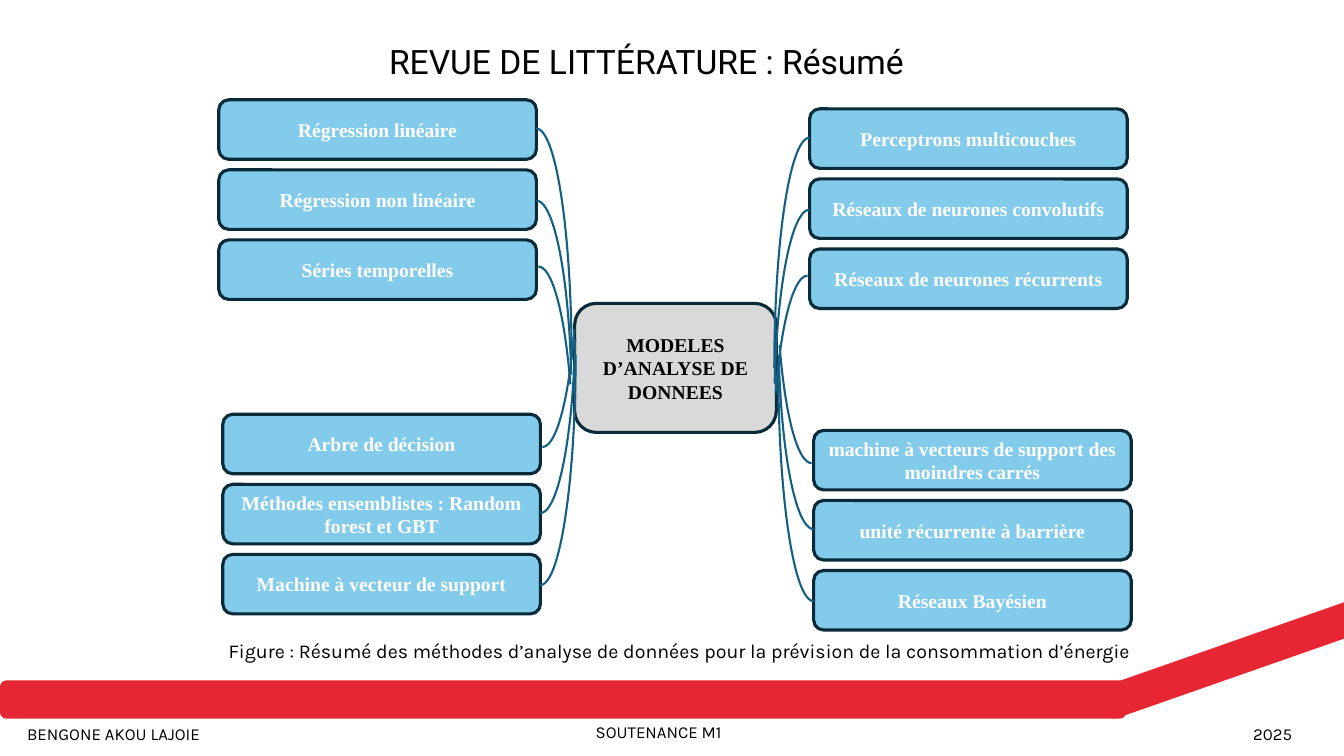
from pptx import Presentation
from pptx.dml.color import RGBColor
from pptx.enum.shapes import MSO_SHAPE as Shape
from pptx.enum.text import MSO_ANCHOR as Anchor, PP_ALIGN as Align
from pptx.oxml.ns import qn
from pptx.util import Inches, Pt

BLACK = RGBColor(0x00, 0x00, 0x00)
WHITE = RGBColor(0xFF, 0xFF, 0xFF)
RED = RGBColor(0xE6, 0x27, 0x33)
GREY = RGBColor(0xD9, 0xD9, 0xD9)
SKY = RGBColor(0x83, 0xCB, 0xEB)
NAVY = RGBColor(0x09, 0x2A, 0x39)
TEAL = RGBColor(0x15, 0x60, 0x82)

# text, (left, top, width, height), size, font
LABELS = [
    ("REVUE DE LITTÉRATURE : Résumé", (3.76, 0.36, 11.92, 0.5), 24, "Roboto"),
    ("SOUTENANCE M1", (5.81, 7.11, 3.08, 0.3), 12, "Karla"),
    ("BENGONE AKOU LAJOIE", (0.17, 7.13, 3.08, 0.3), 12, "Karla"),
    ("2025", (12.33, 7.13, 3.08, 0.3), 12, "Karla"),
    ("Figure : Résumé des méthodes d’analyse de données pour la prévision "
     "de la consommation d’énergie", (2.17, 6.29, 9.61, 0.34), 14, "Karla"),
]
# (left, top, width, height), rotation
RIBBONS = [((0, 6.75, 11.17, 0.38), 0), ((10.71, 5.32, 9.04, 0.34), 340.7)]

HUB = "MODELES D’ANALYSE DE DONNEES"
HUB_PLACE = (5.7, 3.01, 2, 1.28)

# left and top of the outermost method, on the right?, stacking direction
# (1 downwards, -1 upwards), methods from the outermost to the innermost
BRANCHES = [
    (2.21, 5.5, False, -1, ["Machine à vecteur de support",
                            "Méthodes ensemblistes : Random forest et GBT",
                            "Arbre de décision"]),
    (8.03, 1.08, True, 1, ["Perceptrons multicouches",
                           "Réseaux de neurones convolutifs",
                           "Réseaux de neurones récurrents"]),
    (8.07, 5.66, True, -1, ["Réseaux Bayésien",
                            "unité récurrente à barrière",
                            "machine à vecteurs de support des moindres carrés"]),
    (2.17, 0.99, False, 1, ["Régression linéaire",
                            "Régression non linéaire",
                            "Séries temporelles"]),
]
METHOD_W, METHOD_H, METHOD_STEP = 3.15, 0.59, 0.695
ARC_W, ARC_START = 0.7, 161.987
# distance from the outermost arc, shift towards the hub, height, end angle
ARCS = [(0, 0, 4.58, 0), (0.715, 0, 4.04, 191.794), (1.37, 0.02, 4.04, 174.286)]


def add_shape(slide, preset, place, fill=None, line=None, weight=0):
    shape = slide.shapes.add_shape(preset, *map(Inches, place))
    shape.shadow.inherit = False
    if fill is None:
        shape.fill.background()
    else:
        shape.fill.solid()
        shape.fill.fore_color.rgb = fill
    if line is None:
        shape.line.fill.background()
    else:
        shape.line.color.rgb = line
        shape.line.width = Pt(weight)
    return shape


def write(shape, text, size, font, color, bold=False):
    frame = shape.text_frame
    frame.text = text
    frame.word_wrap = True
    style = frame.paragraphs[0].runs[0].font
    style.size, style.name, style.bold = Pt(size), font, bold
    style.color.rgb = color


def add_box(slide, text, place, fill, color):
    box = add_shape(slide, Shape.ROUNDED_RECTANGLE, place, fill, NAVY, 2.25)
    write(box, text, 14, "Times New Roman", color, bold=True)
    box.text_frame.vertical_anchor = Anchor.MIDDLE
    box.text_frame.paragraphs[0].alignment = Align.CENTER


def add_arc(slide, place, end, flip_h, flip_v):
    arc = add_shape(slide, Shape.ARC, place, line=TEAL, weight=1.5)
    arc.adjustments[0], arc.adjustments[1] = ARC_START, end
    xfrm = arc.element.spPr.find(qn("a:xfrm"))
    if flip_h:
        xfrm.set("flipH", "1")
    if flip_v:
        xfrm.set("flipV", "1")


def add_branch(slide, left, top, on_right, direction, methods):
    """Stack the methods and curve an arc from each one to the hub."""
    for row, method in enumerate(methods):
        method_top = top + direction * row * METHOD_STEP
        add_box(slide, method, (left, method_top, METHOD_W, METHOD_H), SKY, WHITE)

    inner_edge = left if on_right else left + METHOD_W
    inward = -1 if on_right else 1
    outer_start = top + METHOD_H / 2 - direction * 0.01
    for offset, shift, height, end in ARCS:
        start = outer_start + direction * offset
        arc_top = start if direction > 0 else start - height
        arc_left = inner_edge - ARC_W / 2 + inward * shift
        add_arc(slide, (arc_left, arc_top, ARC_W, height), end,
                on_right, direction < 0)


def main():
    deck = Presentation()
    deck.slide_width, deck.slide_height = Inches(13.33), Inches(7.5)
    slide = deck.slides.add_slide(deck.slide_layouts[6])

    for place, rotation in RIBBONS:
        ribbon = add_shape(slide, Shape.ROUNDED_RECTANGLE, place, RED)
        ribbon.rotation = rotation
    add_box(slide, HUB, HUB_PLACE, GREY, BLACK)
    for branch in BRANCHES:
        add_branch(slide, *branch)
    for text, place, size, font in LABELS:
        label = slide.shapes.add_textbox(*map(Inches, place))
        write(label, text, size, font, BLACK)

    deck.save("out.pptx")


if __name__ == "__main__":
    main()
